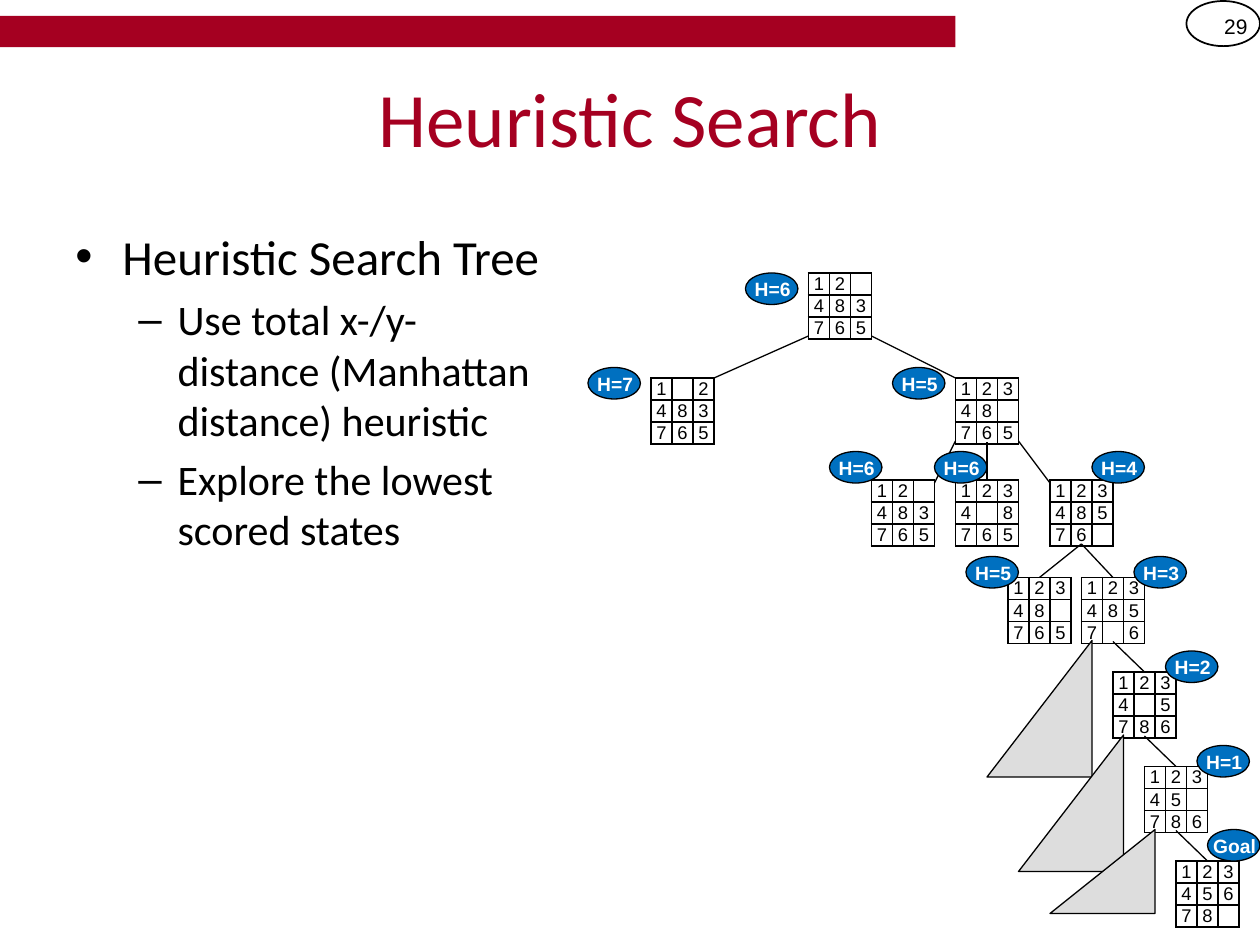
from typing import NamedTuple

from lxml.etree import SubElement
from pptx import Presentation
from pptx.dml.color import RGBColor
from pptx.enum.shapes import MSO_CONNECTOR, MSO_SHAPE
from pptx.enum.text import MSO_ANCHOR, PP_ALIGN
from pptx.oxml.ns import qn
from pptx.util import Cm, Pt

GRID = 2.54 / 12
RED, BLUE, GREY, BLACK, WHITE = "A50021", "0070C0", "DDDDDD", "000000", "FFFFFF"
TOP, BOTTOM = 0, 2


class Board(NamedTuple):
    x: float
    y: float
    tiles: str
    label: str
    label_x: float
    label_y: float


class Line(NamedTuple):
    x1: float
    y1: float
    x2: float
    y2: float


class Subtree(NamedTuple):
    x: float
    y: float
    height: float


class Bullet(NamedTuple):
    text: str
    mark: str
    size: float
    left: float
    hang: float


BOARDS = {
    "root": Board(77, 26, "12 483765", "H=6", 71, 26),
    "left": Board(62, 36, "1 2483765", "H=7", 56, 35),
    "right": Board(91, 36, "12348 765", "H=5", 85, 35),
    "back": Board(83, 45.7, "12 483765", "H=6", 79, 43),
    "middle": Board(91, 45.7, "1234 8765", "H=6", 89, 43),
    "down": Board(100, 45.7, "12348576 ", "H=4", 104, 43),
    "undo": Board(96, 55, "12348 765", "H=5", 92, 53),
    "slide": Board(103, 55, "1234857 6", "H=3", 108, 53),
    "two": Board(106, 64, "1234 5786", "H=2", 111, 62),
    "one": Board(109, 73, "12345 786", "H=1", 114, 71),
    "goal": Board(112, 82, "12345678 ", "Goal", 115, 79),
}
MOVES = [("right", "middle"), ("down", "undo"), ("down", "slide"),
         ("slide", "two"), ("two", "one"), ("one", "goal")]
CORNER_LINES = [Line(77, 32, 68, 36), Line(83, 32, 91, 36),
                Line(91, 42, 89, 46), Line(97, 42, 100, 46)]
SUBTREES = [Subtree(94, 61, 13), Subtree(97, 70, 13), Subtree(100, 79, 8)]
BULLETS = [
    Bullet("Heuristic Search Tree", "•", 28, 0.95, 0.95),
    Bullet("Use total x-/y- distance (Manhattan distance) heuristic", "–", 24, 2.06, 0.79),
    Bullet("Explore the lowest scored states", "–", 24, 2.06, 0.79),
]


def u(n: float) -> Cm:
    return Cm(n * GRID)


def rgb(color: str) -> RGBColor:
    return RGBColor.from_string(color)


def add_run(p, text: str, font: str, size: float, color: str, bold: bool = False) -> None:
    r = p.add_run()
    r.text = text
    r.font.name, r.font.size, r.font.bold = font, Pt(size), bold
    r.font.color.rgb = rgb(color)


def add_shape(s, kind, x: float, y: float, w: float, h: float,
              fill: str = "", line: float = 0):
    sp = s.shapes.add_shape(kind, u(x), u(y), u(w), u(h))
    sp.shadow.inherit = False
    if fill:
        sp.fill.solid()
        sp.fill.fore_color.rgb = rgb(fill)
    else:
        sp.fill.background()
    if line:
        sp.line.color.rgb = rgb(BLACK)
        sp.line.width = Pt(line)
    else:
        sp.line.fill.background()
    return sp


def add_textbox(s, x: float, y: float, w: float, h: float, anchor):
    tf = s.shapes.add_textbox(u(x), u(y), u(w), u(h)).text_frame
    tf.word_wrap = True
    tf.vertical_anchor = anchor
    return tf


def add_bullets(s, bullets: list[Bullet]) -> None:
    tf = add_textbox(s, 6, 21, 47, 67, MSO_ANCHOR.TOP)
    for i, b in enumerate(bullets):
        p = tf.add_paragraph() if i else tf.paragraphs[0]
        if i:
            p.space_before = Pt(b.size * 0.2)
        pPr = p._p.get_or_add_pPr()
        pPr.set("marL", str(Cm(b.left)))
        pPr.set("indent", str(-Cm(b.hang)))
        SubElement(pPr, qn("a:buFont"), typeface="Arial")
        SubElement(pPr, qn("a:buChar"), char=b.mark)
        add_run(p, b.text, "Calibri", b.size, BLACK)


def set_borders(cell) -> None:
    tcPr = cell._tc.get_or_add_tcPr()
    for i, side in enumerate(("lnL", "lnR", "lnT", "lnB")):
        ln = tcPr.makeelement(qn(f"a:{side}"), {"w": str(Pt(1))})
        SubElement(SubElement(ln, qn("a:solidFill")), qn("a:srgbClr"), val=BLACK)
        tcPr.insert(i, ln)


def add_board(s, board: Board):
    frame = s.shapes.add_table(3, 3, u(board.x), u(board.y), u(6), u(6.1))
    table = frame.table
    table.first_row = table.horz_banding = False
    for i, tile in enumerate(board.tiles):
        cell = table.cell(*divmod(i, 3))
        cell.fill.solid()
        cell.fill.fore_color.rgb = rgb(WHITE)
        cell.margin_left = cell.margin_right = cell.margin_top = cell.margin_bottom = 0
        cell.vertical_anchor = MSO_ANCHOR.MIDDLE
        set_borders(cell)
        p = cell.text_frame.paragraphs[0]
        p.alignment = PP_ALIGN.CENTER
        if tile == " ":
            SubElement(p._p, qn("a:endParaRPr"), sz="1050")
        else:
            add_run(p, tile, "Arial", 10.5, BLACK)
    return frame


def add_line(s, line: Line):
    c = s.shapes.add_connector(MSO_CONNECTOR.STRAIGHT, *map(u, line))
    c.line.color.rgb = rgb(BLACK)
    c.line.width = Pt(0.75)
    SubElement(c._element.spPr, qn("a:effectLst"))
    return c


def add_label(s, board: Board) -> None:
    sp = add_shape(s, MSO_SHAPE.OVAL, board.label_x, board.label_y, 5, 3, BLUE, 0.75)
    tf = sp.text_frame
    tf.word_wrap = False
    tf.vertical_anchor = MSO_ANCHOR.TOP
    tf.margin_left, tf.margin_right = Cm(0.29), Cm(0.25)
    tf.margin_top, tf.margin_bottom = Cm(0), Cm(0.13)
    p = tf.paragraphs[0]
    p.alignment = PP_ALIGN.CENTER
    add_run(p, board.label, "Arial", 11, WHITE, True)


def main() -> None:
    prs = Presentation()
    prs.slide_width, prs.slide_height = Cm(25.4), Cm(19.05)
    s = prs.slides.add_slide(prs.slide_layouts[6])

    add_shape(s, MSO_SHAPE.RECTANGLE, 0, 1.5, 91, 3, RED)
    add_shape(s, MSO_SHAPE.OVAL, 113, 0.1, 7, 4.3, line=1)
    p = add_textbox(s, 113, 0.1, 7, 4.8, MSO_ANCHOR.MIDDLE).paragraphs[0]
    p.alignment = PP_ALIGN.RIGHT
    add_run(p, "29", "Arial", 12, BLACK)
    p = add_textbox(s, 6, 3.6, 108, 15, MSO_ANCHOR.MIDDLE).paragraphs[0]
    p.alignment = PP_ALIGN.CENTER
    add_run(p, "Heuristic Search", "Calibri", 44, RED)
    add_bullets(s, BULLETS)

    frames = {name: add_board(s, board) for name, board in BOARDS.items()}
    for line in CORNER_LINES:
        add_line(s, line)
    for parent, child in MOVES:
        a, b = BOARDS[parent], BOARDS[child]
        c = add_line(s, Line(a.x + 3, a.y + 6, b.x + 3, b.y))
        c.begin_connect(frames[parent], BOTTOM)
        c.end_connect(frames[child], TOP)
    for board in BOARDS.values():
        add_label(s, board)
    for tree in SUBTREES:
        sp = add_shape(s, MSO_SHAPE.ISOSCELES_TRIANGLE, tree.x, tree.y, 10, tree.height, GREY, 0.75)
        sp.adjustments[0] = 1
    prs.save("out.pptx")


if __name__ == "__main__":
    main()
